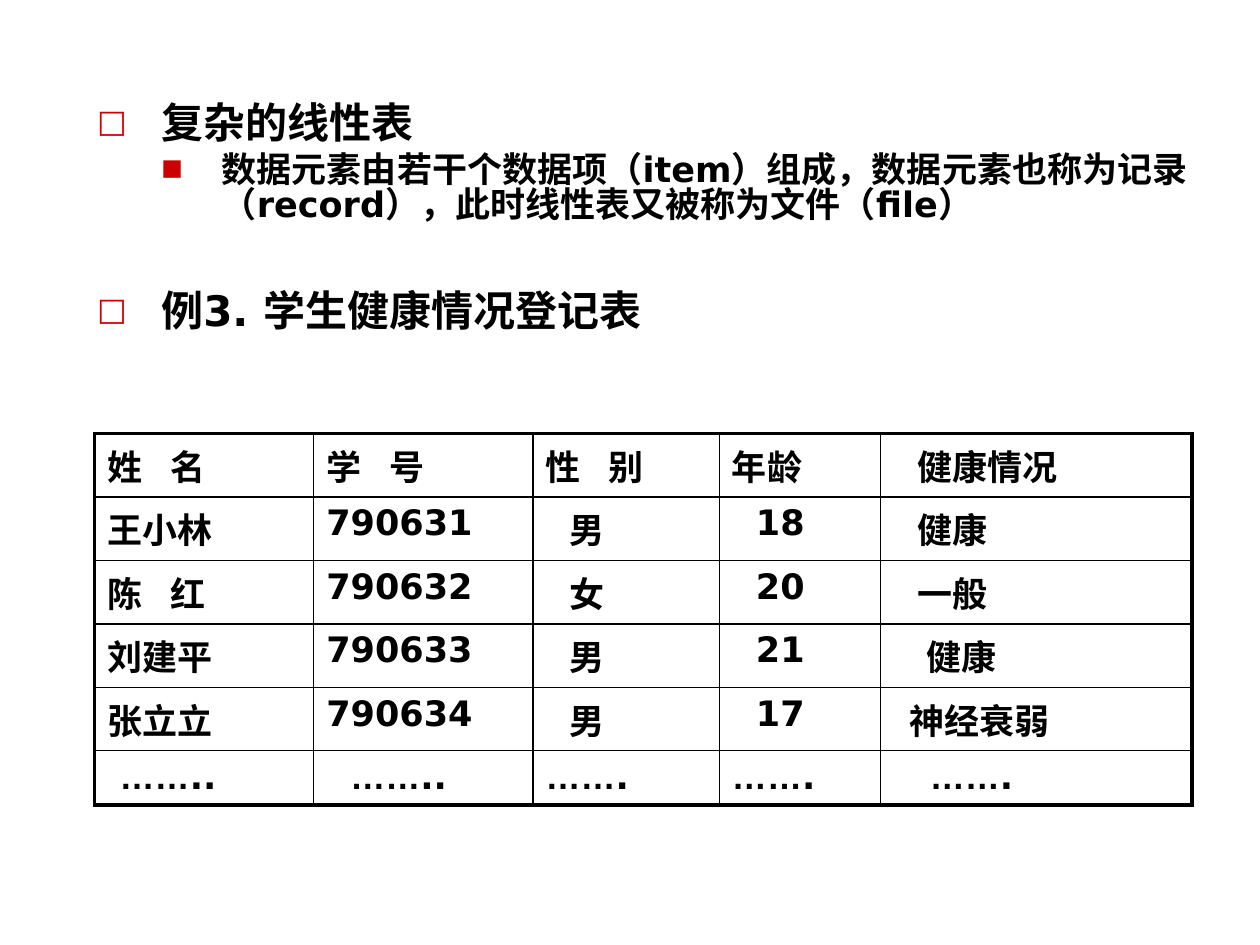
from dataclasses import dataclass
from typing import Optional

from lxml.etree import SubElement
from pptx import Presentation
from pptx.dml.color import RGBColor
from pptx.enum.text import MSO_ANCHOR, MSO_AUTO_SIZE
from pptx.oxml.ns import qn
from pptx.util import Inches, Pt

BLACK = RGBColor(0, 0, 0)
RED = RGBColor(0xCC, 0, 0)
FONT, DOT_FONT = "DejaVu Sans", "Arial"
DOTS = "……"
THIN, THICK = 1, 2.25
ROW_H = 0.43
COLS = (1.74, 1.74, 1.48, 1.28, 2.47)


@dataclass
class Level:
    mark: str
    size: int
    left: float
    hang: float
    scale: int
    pitch: float


@dataclass
class Body:
    box: tuple
    items: list


@dataclass
class Cell:
    text: str
    left: float = 0
    tab: Optional[float] = None


LEVELS = (
    Level("□", 24, 0.51, 0.51, 75, 0.9),
    Level("■", 20, 0.99, 0.48, 65, 0.83),
)
BODIES = (
    Body((0.67, 0.76, 9.06, 1.18), [
        (0, "复杂的线性表"),
        (1, "数据元素由若干个数据项（item）组成，数据元素也称为记录"
            "（record），此时线性表又被称为文件（file）"),
    ]),
    Body((0.67, 2.25, 5.12, 0.65), [(0, "例3. 学生健康情况登记表")]),
)


def record(name: Cell, num: str, sex: str, age: str, state: Cell) -> list:
    return [name, Cell(num), Cell(sex, 0.19), Cell(age, 0.19), state]


ROWS = [
    [Cell("姓\t名", tab=0.46), Cell("学\t号", tab=0.53),
     Cell("性\t别", tab=0.46), Cell("年龄"), Cell("健康情况", 0.19)],
    record(Cell("王小林"), "790631", "男", "18", Cell("健康", 0.19)),
    record(Cell("陈\t红", tab=0.46), "790632", "女", "20", Cell("一般", 0.19)),
    record(Cell("刘建平"), "790633", "男", "21", Cell("健康", 0.26)),
    record(Cell("张立立"), "790634", "男", "17", Cell("神经衰弱", 0.13)),
    [Cell(DOTS + "..", 0.1), Cell(DOTS + "..", 0.19), Cell(DOTS + "."),
     Cell(DOTS + "."), Cell(DOTS + ".", 0.29)],
]


def put(para, text: str, *, size: int = 20, left: float = 0, hang: float = 0) -> None:
    """Write indented bold text, with its ellipsis in a font of its own."""
    props = para._p.get_or_add_pPr()
    props.set("marL", str(Inches(left)))
    props.set("indent", str(-Inches(hang)))
    for part in text.rpartition(DOTS):
        if part:
            run = para.add_run()
            run.text = part
            font = run.font
            font.name = DOT_FONT if part == DOTS else FONT
            font.size, font.bold = Pt(size), True
            font.color.rgb = BLACK


def add_mark(para, level: Level) -> None:
    props = para._p.get_or_add_pPr()
    color = SubElement(props, qn("a:buClr"))
    SubElement(color, qn("a:srgbClr"), val=str(RED))
    SubElement(props, qn("a:buSzPct"), val=str(level.scale * 1000))
    SubElement(props, qn("a:buFont"), typeface=FONT)
    SubElement(props, qn("a:buChar"), char=level.mark)


def fill_body(shape, body: Body) -> None:
    shape.left, shape.top, shape.width, shape.height = map(Inches, body.box)
    frame = shape.text_frame
    frame.auto_size = MSO_AUTO_SIZE.NONE
    frame.word_wrap = True
    frame.vertical_anchor = MSO_ANCHOR.TOP
    for i, (depth, text) in enumerate(body.items):
        para = frame.add_paragraph() if i else frame.paragraphs[0]
        level = LEVELS[depth]
        para.level = depth
        add_mark(para, level)
        para.line_spacing = level.pitch
        para.space_before = Pt(0.2 * level.size if i else 0)
        put(para, text, size=level.size, left=level.left, hang=level.hang)


def add_edge(cell, side: str, width: float) -> None:
    props = cell._tc.get_or_add_tcPr()
    line = SubElement(props, qn("a:ln" + side), w=str(Pt(width)))
    fill = SubElement(line, qn("a:solidFill"))
    SubElement(fill, qn("a:srgbClr"), val=str(BLACK))


def add_grid(slide) -> None:
    """Draw the table with a thick outer frame and thin inner rules."""
    rows, cols = len(ROWS), len(COLS)
    table = slide.shapes.add_table(
        rows, cols, Inches(0.75), Inches(3.44),
        Inches(sum(COLS)), Inches(ROW_H * rows)).table
    table.first_row = table.horz_banding = False
    for col, width in zip(table.columns, COLS):
        col.width = Inches(width)
    for r, row in enumerate(ROWS):
        table.rows[r].height = Inches(ROW_H)
        for c, item in enumerate(row):
            cell = table.cell(r, c)
            outer = {"L": c == 0, "R": c == cols - 1,
                     "T": r == 0, "B": r == rows - 1}
            for side, edge in outer.items():
                add_edge(cell, side, THICK if edge else THIN)
            cell.fill.background()
            para = cell.text_frame.paragraphs[0]
            if item.tab:
                tabs = SubElement(para._p.get_or_add_pPr(), qn("a:tabLst"))
                SubElement(tabs, qn("a:tab"), pos=str(Inches(item.tab)), algn="l")
            put(para, item.text, left=item.left)


def main() -> None:
    deck = Presentation()
    deck.slide_width, deck.slide_height = Inches(10), Inches(7.5)
    slide = deck.slides.add_slide(deck.slide_layouts.get_by_name("Two Content"))
    title, *holders = slide.placeholders
    title._element.getparent().remove(title._element)
    for shape, body in zip(holders, BODIES):
        fill_body(shape, body)
    add_grid(slide)
    deck.save("out.pptx")


if __name__ == "__main__":
    main()
